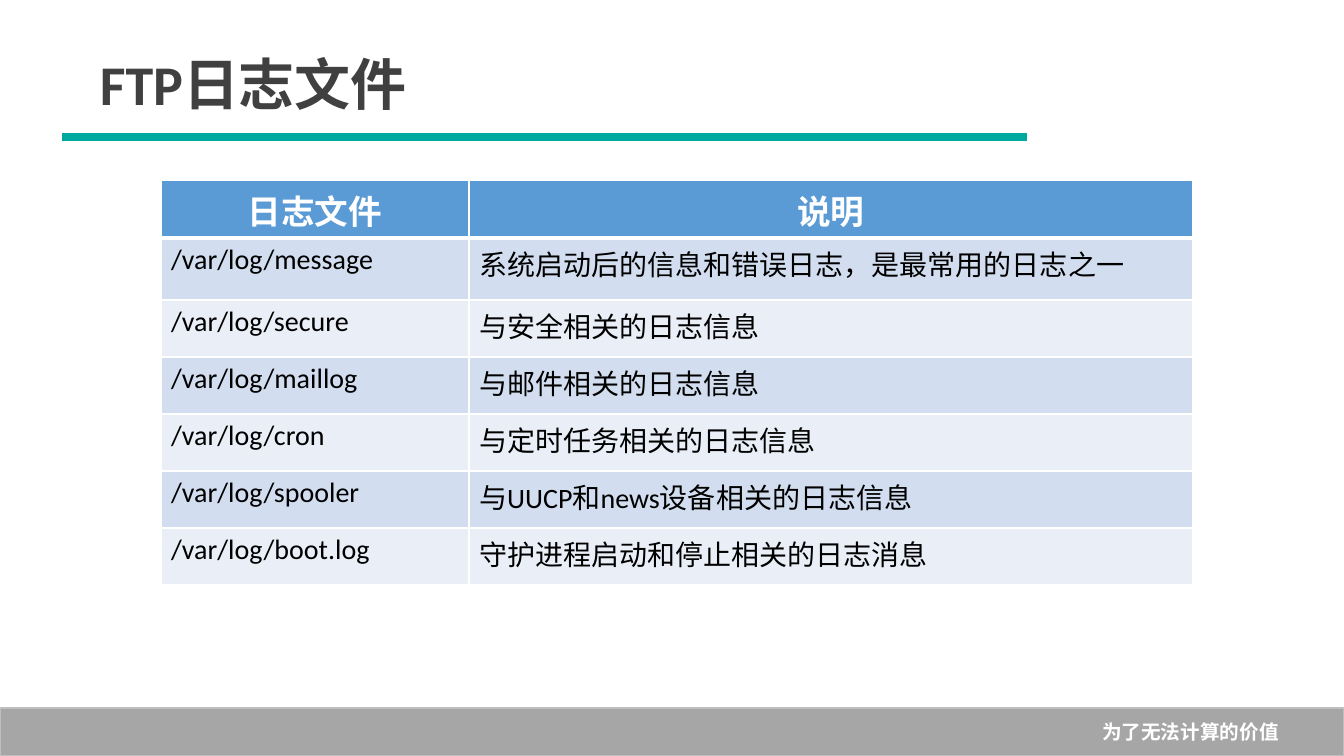
from lxml import etree
from pptx import Presentation
from pptx.dml.color import RGBColor
from pptx.enum.shapes import MSO_CONNECTOR, MSO_SHAPE
from pptx.enum.text import MSO_ANCHOR, PP_ALIGN
from pptx.oxml import parse_xml
from pptx.oxml.ns import nsdecls, qn
from pptx.util import Emu, Pt

THEME = {
    "font": "Calibri",
    "white": "FFFFFF", "black": "000000", "title": "404040", "accent": "00A99F",
    "footer": "A6A6A6", "footer_line": "BFBFBF",
    "header": "5B9BD5", "bands": ["D2DEEF", "EAEFF7"],
    "title_size": 40, "header_size": 24, "body_size": 20, "footer_size": 14,
}


def px(*lengths):
    return [Emu(round(length * 914400 / 100.8)) for length in lengths]


def write(frame, text, size, color, bold, align):
    para = frame.paragraphs[0]
    para.alignment = align
    span = para.add_run()
    span.text = text
    formats = {"name": THEME["font"], "size": Pt(size), "bold": bold}
    for name, value in formats.items():
        setattr(span.font, name, value)
    span.font.color.rgb = RGBColor.from_string(color)


deck = Presentation()
deck.slide_width, deck.slide_height = px(1344, 756)
page = deck.slides.add_slide(deck.slide_layouts[6])

footer = page.shapes.add_shape(MSO_SHAPE.RECTANGLE, *px(0, 708, 1344, 48))
footer.shadow.inherit = False
footer.fill.solid()
footer.fill.fore_color.rgb = RGBColor.from_string(THEME["footer"])
footer.line.color.rgb = RGBColor.from_string(THEME["footer_line"])
footer.line.width = Pt(1)
footer.text_frame.margin_right = px(65)[0]
footer.text_frame.vertical_anchor = MSO_ANCHOR.MIDDLE
write(footer.text_frame, "为了无法计算的价值", THEME["footer_size"], THEME["white"], True, PP_ALIGN.RIGHT)

rule = page.shapes.add_connector(MSO_CONNECTOR.STRAIGHT, *px(62, 137, 1027, 137))
rule.line.color.rgb = RGBColor.from_string(THEME["accent"])
rule.line.width = Pt(5.75)
etree.SubElement(rule._element.spPr, qn("a:effectLst"))

title = page.shapes.add_textbox(*px(90, 43, 557, 80))
title.text_frame.word_wrap = True
title.text_frame.vertical_anchor = MSO_ANCHOR.MIDDLE
write(title.text_frame, "FTP日志文件", THEME["title_size"], THEME["title"], True, PP_ALIGN.LEFT)

logs = [
    ("日志文件", "说明"),
    ("/var/log/message", "系统启动后的信息和错误日志，是最常用的日志之一"),
    ("/var/log/secure", "与安全相关的日志信息"),
    ("/var/log/maillog", "与邮件相关的日志信息"),
    ("/var/log/cron", "与定时任务相关的日志信息"),
    ("/var/log/spooler", "与UUCP和news设备相关的日志信息"),
    ("/var/log/boot.log", "守护进程启动和停止相关的日志消息"),
]
column_widths = [308, 724]
row_heights = [58, 62] + [57] * 5
table = page.shapes.add_table(
    len(logs), 2, *px(161, 180, sum(column_widths), sum(row_heights))
).table
for column, width in zip(table.columns, px(*column_widths)):
    column.width = width
for row, height in zip(table.rows, px(*row_heights)):
    row.height = height

for row_index, entry in enumerate(logs):
    is_header = row_index == 0
    fill = THEME["header"] if is_header else THEME["bands"][(row_index - 1) % 2]
    size = THEME["header_size"] if is_header else THEME["body_size"]
    color = THEME["white"] if is_header else THEME["black"]
    align = PP_ALIGN.CENTER if is_header else PP_ALIGN.LEFT
    borders = {"lnL": 1, "lnR": 1, "lnT": 3 if row_index == 1 else 1, "lnB": 3 if is_header else 1}
    for column_index, text in enumerate(entry):
        cell = table.cell(row_index, column_index)
        properties = cell._tc.get_or_add_tcPr()
        for side, width in borders.items():
            properties.append(parse_xml(
                f'<a:{side} {nsdecls("a")} w="{Pt(width)}"><a:solidFill>'
                f'<a:srgbClr val="{THEME["white"]}"/></a:solidFill></a:{side}>'
            ))
        cell.fill.solid()
        cell.fill.fore_color.rgb = RGBColor.from_string(fill)
        write(cell.text_frame, text, size, color, is_header, align)

deck.save("out.pptx")
